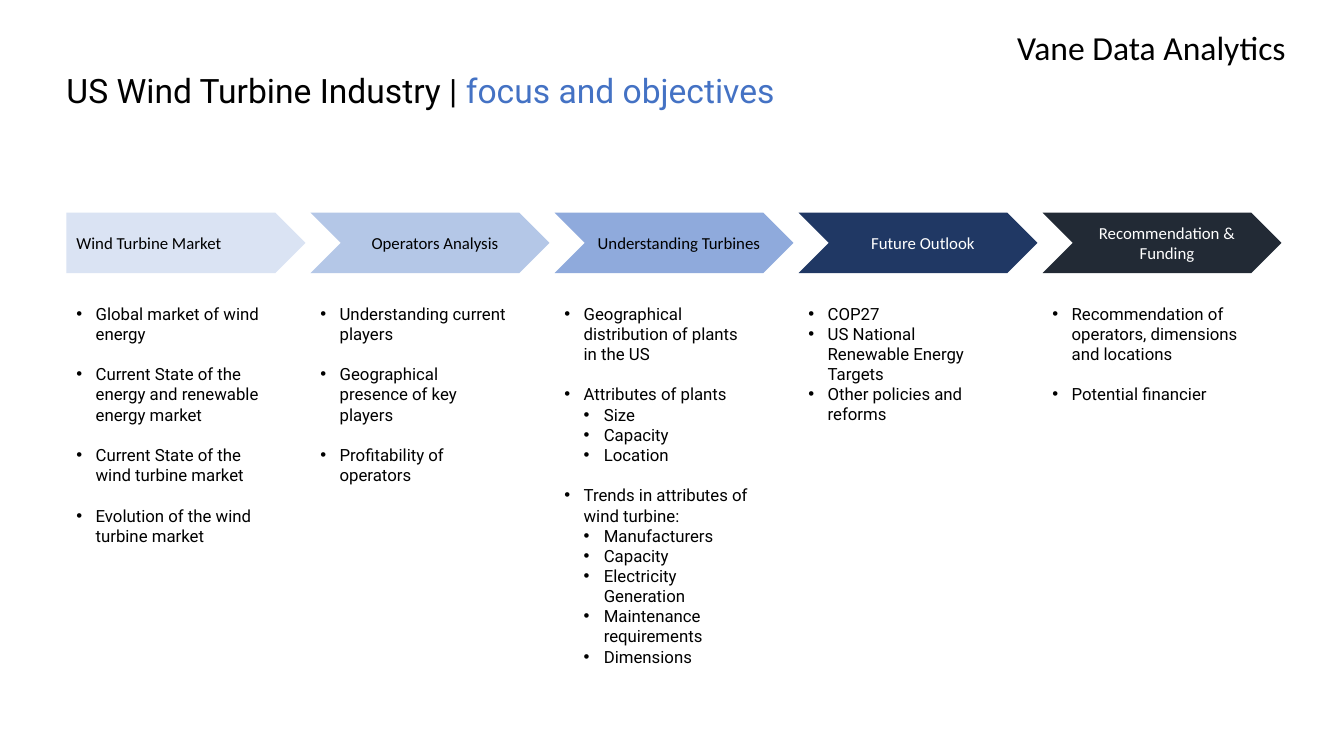
from lxml import etree
from pptx import Presentation
from pptx.dml.color import RGBColor
from pptx.enum.shapes import MSO_SHAPE
from pptx.enum.text import MSO_ANCHOR, MSO_AUTO_SIZE, PP_ALIGN
from pptx.oxml.ns import qn
from pptx.util import Inches, Pt

PENTAGON, CHEVRON = MSO_SHAPE.PENTAGON, MSO_SHAPE.CHEVRON
LEFT, CENTER = PP_ALIGN.LEFT, PP_ALIGN.CENTER
TOP, MIDDLE = MSO_ANCHOR.TOP, MSO_ANCHOR.MIDDLE
GROW = MSO_AUTO_SIZE.SHAPE_TO_FIT_TEXT

BLACK = RGBColor(0x00, 0x00, 0x00)
WHITE = RGBColor(0xFF, 0xFF, 0xFF)
ACCENT = RGBColor(0x44, 0x72, 0xC4)
PALE = RGBColor(0xDA, 0xE3, 0xF3)
LIGHT = RGBColor(0xB4, 0xC7, 0xE7)
MEDIUM = RGBColor(0x8F, 0xAA, 0xDC)
NAVY = RGBColor(0x20, 0x38, 0x64)
CHARCOAL = RGBColor(0x22, 0x2A, 0x35)

MARGIN = Inches(0.66)
COLUMN_STEP = Inches(2.42)
STAGE_TOP, STAGE_WIDTH, STAGE_HEIGHT = Inches(2.11), Inches(2.37), Inches(0.6)
GOALS_TOP, GOALS_WIDTH = Inches(2.96), Inches(2.08)
LINE = Pt(14.5)
INSET = Inches(0.1)
INDENTS = [(0.19, 0.19), (0.39, 0.2)]


def write(paragraph, text, font="Roboto", size=12, color=BLACK, align=LEFT,
          gap=0, level=None):
    paragraph.alignment = align
    if gap:
        paragraph.space_before = gap
    if level is not None:
        paragraph.level = level
        margin, hanging = INDENTS[level]
        properties = paragraph._p.get_or_add_pPr()
        properties.set("marL", str(Inches(margin)))
        properties.set("indent", str(-Inches(hanging)))
        etree.SubElement(properties, qn("a:buFont")).set("typeface", "Arial")
        etree.SubElement(properties, qn("a:buChar")).set("char", "•")
    run = paragraph.add_run()
    run.text = text
    run.font.name = font
    run.font.size = Pt(size)
    run.font.color.rgb = color


stages = [
    ("Wind Turbine Market", PENTAGON, PALE, BLACK, LEFT, 13, LINE, [
        ("Global market of wind energy", []),
        ("Current State of the energy and renewable energy market", []),
        ("Current State of the wind turbine market", []),
        ("Evolution of the wind turbine market", []),
    ]),
    ("Operators Analysis", CHEVRON, LIGHT, BLACK, CENTER, 8, LINE, [
        ("Understanding current players", []),
        ("Geographical presence of key players", []),
        ("Profitability of operators", []),
    ]),
    ("Understanding Turbines", CHEVRON, MEDIUM, BLACK, CENTER, 20, LINE, [
        ("Geographical distribution of plants in the US", []),
        ("Attributes of plants", ["Size", "Capacity", "Location"]),
        ("Trends in attributes of wind turbine:", [
            "Manufacturers", "Capacity", "Electricity Generation",
            "Maintenance requirements", "Dimensions"]),
    ]),
    ("Future Outlook", CHEVRON, NAVY, WHITE, CENTER, 5, 0, [
        ("COP27", []),
        ("US National Renewable Energy Targets", []),
        ("Other policies and reforms", []),
    ]),
    ("Recommendation & Funding", CHEVRON, CHARCOAL, WHITE, CENTER, 6, LINE, [
        ("Recommendation of operators, dimensions and locations", []),
        ("Potential financier", []),
    ]),
]

deck = Presentation()
deck.slide_width, deck.slide_height = Inches(13.33), Inches(7.5)
slide = deck.slides.add_slide(deck.slide_layouts[6])

company = slide.shapes.add_textbox(
    Inches(9.99), Inches(0.22), Inches(2.94), Inches(0.5)).text_frame
company.word_wrap = True
company.auto_size = GROW
write(company.paragraphs[0], "Vane Data Analytics", font="Calibri", size=24)

title = slide.shapes.add_textbox(
    MARGIN, Inches(0.74), Inches(10.87), Inches(0.5)).text_frame
title.word_wrap = True
title.vertical_anchor = TOP
title.margin_left = title.margin_right = title.margin_top = 0
heading = title.paragraphs[0]
heading.line_spacing = 0.9
write(heading, "US Wind Turbine Industry | ", size=24)
write(heading, "focus and objectives", size=24, color=ACCENT)

for column, (stage, outline, fill, ink, align, lines, gap, goals) in enumerate(stages):
    left = MARGIN + column * COLUMN_STEP

    arrow = slide.shapes.add_shape(
        outline, left, STAGE_TOP, STAGE_WIDTH, STAGE_HEIGHT)
    arrow.shadow.inherit = False
    arrow.fill.solid()
    arrow.fill.fore_color.rgb = fill
    arrow.line.fill.background()
    label = arrow.text_frame
    label.word_wrap = True
    label.vertical_anchor = MIDDLE
    label.margin_left = label.margin_top = label.margin_bottom = INSET
    label.margin_right = INSET if outline == PENTAGON else 0
    write(label.paragraphs[0], stage, font="Calibri", color=ink, align=align)

    objectives = slide.shapes.add_textbox(
        left, GOALS_TOP, GOALS_WIDTH, INSET + lines * LINE).text_frame
    objectives.word_wrap = True
    objectives.auto_size = GROW
    for order, (goal, details) in enumerate(goals):
        entry = objectives.add_paragraph() if order else objectives.paragraphs[0]
        write(entry, goal, gap=gap if order else 0, level=0)
        for detail in details:
            write(objectives.add_paragraph(), detail, level=1)

deck.save("out.pptx")
